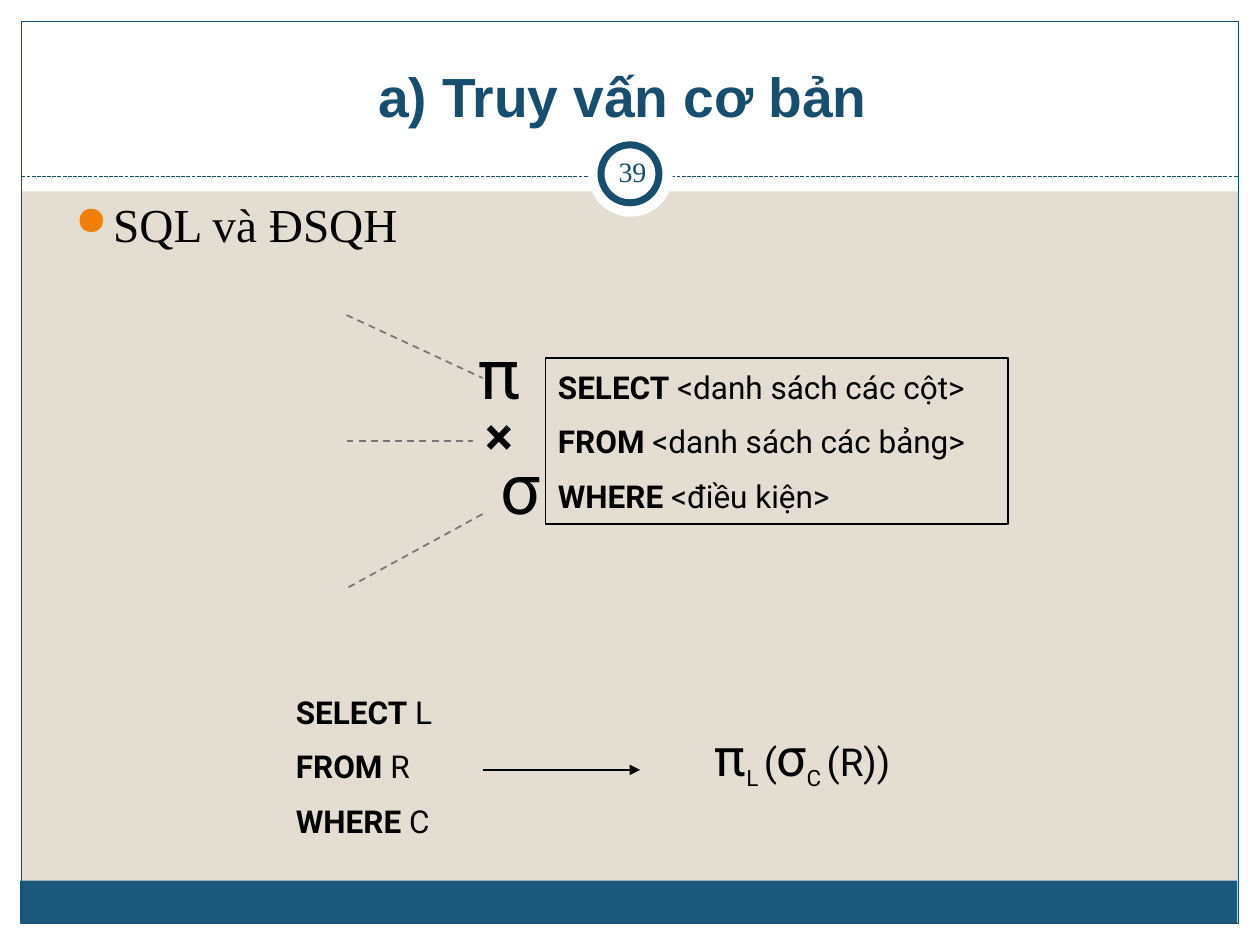
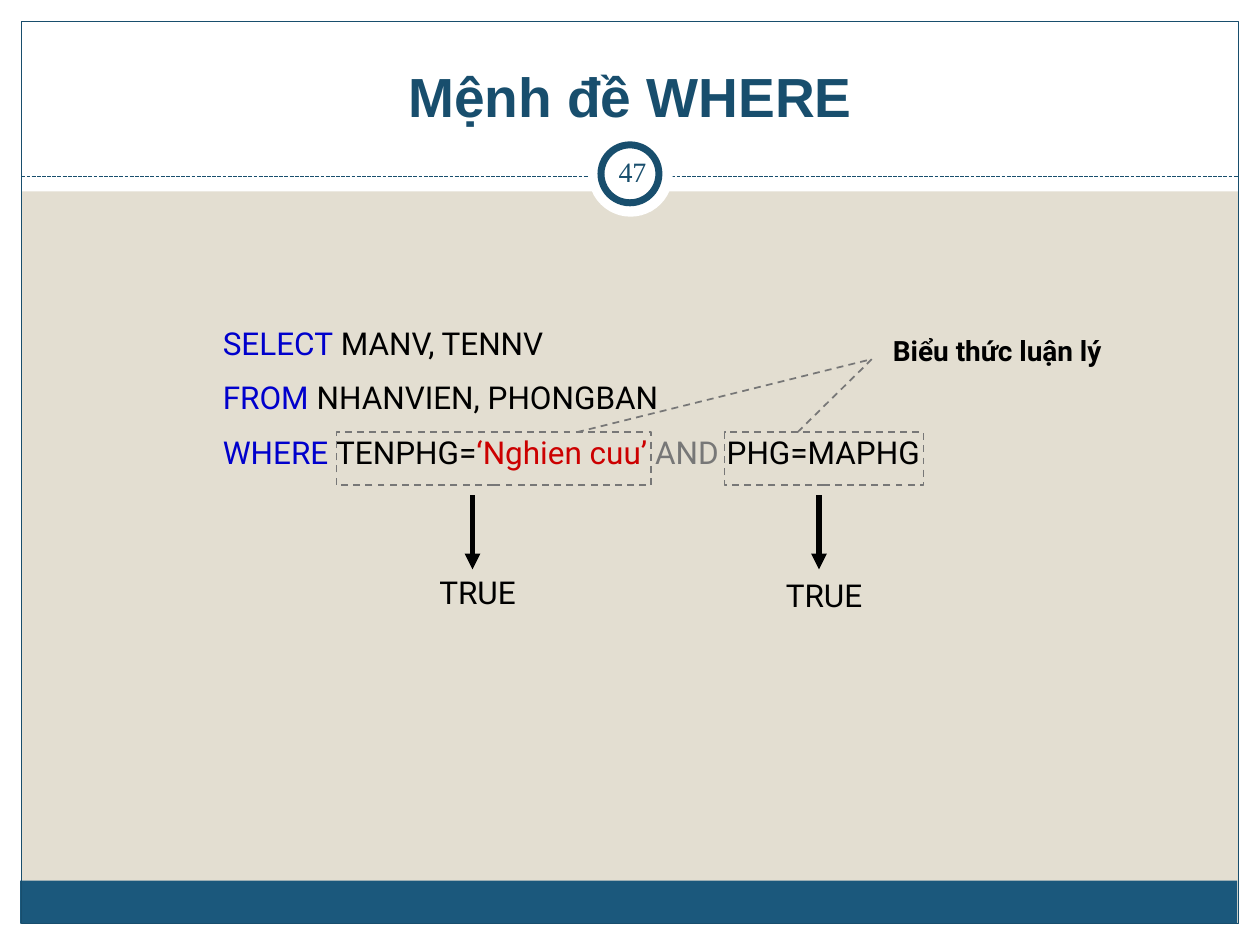
from lxml import etree
from pptx import Presentation
from pptx.dml.color import RGBColor
from pptx.enum import dml, shapes, text
from pptx.oxml.ns import qn
from pptx.util import Inches, Pt

COLORS = {
    "sand": "E3DED1", "white": "FFFFFF", "navy": "184E6D", "band": "1B587C",
    "orange": "F07F09", "black": "000000", "gray": "777777",
    "keyword": "0000CC", "literal": "CC0000",
}
RGB = {name: RGBColor.from_string(value) for name, value in COLORS.items()}
RECT, OVAL = shapes.MSO_SHAPE.RECTANGLE, shapes.MSO_SHAPE.OVAL
DASH, SYS_DASH = dml.MSO_LINE.DASH, dml.MSO_LINE.SQUARE_DOT
TOP, MIDDLE, BOTTOM = (text.MSO_ANCHOR.TOP, text.MSO_ANCHOR.MIDDLE,
                       text.MSO_ANCHOR.BOTTOM)
CODE = {"name": "Roboto", "size": 18, "color": "black"}
BOLD = {"bold": True}
SUB = {"size": 22, "baseline": "-25000"}


def add_box(s, at, paras=(), kind=None, fill=None, line=None, width=1, dash=None,
            base=CODE, center=False, anchor=TOP, inset=0.1):
    """Add a shape, or a text box if kind is None; paras are lists of (text, format)."""
    at = [Inches(v) for v in at]
    if kind is None:
        sp = s.shapes.add_textbox(*at)
    else:
        sp = s.shapes.add_shape(kind, *at)
        sp.shadow.inherit = False
        if fill:
            sp.fill.solid()
            sp.fill.fore_color.rgb = RGB[fill]
        else:
            sp.fill.background()
        if line:
            sp.line.color.rgb, sp.line.width = RGB[line], Pt(width)
            sp.line.dash_style = dash
        else:
            sp.line.fill.background()
    tf = sp.text_frame
    tf.word_wrap, tf.vertical_anchor = True, anchor
    tf.margin_left = tf.margin_right = Inches(inset)
    for i, runs in enumerate(paras):
        p = tf.paragraphs[0] if i == 0 else tf.add_paragraph()
        p.alignment = text.PP_ALIGN.CENTER if center else text.PP_ALIGN.LEFT
        if i:
            p.space_before = Pt(9.5)
        for words, changes in runs:
            r = p.add_run()
            r.text = words
            for key, value in {**base, **changes}.items():
                if key == "color":
                    r.font.color.rgb = RGB[value]
                elif key == "baseline":
                    r._r.get_or_add_rPr().set("baseline", value)
                else:
                    setattr(r.font, key, Pt(value) if key == "size" else value)
    return sp


def add_line(s, start, end, color="gray", width=1, dash=DASH, arrow=False):
    c = s.shapes.add_connector(shapes.MSO_CONNECTOR.STRAIGHT,
                               *[Inches(v) for v in (*start, *end)])
    c.line.color.rgb, c.line.width = RGB[color], Pt(width)
    c.line.dash_style = dash
    if arrow:
        etree.SubElement(c.line._get_or_add_ln(), qn("a:tailEnd"), type="triangle")
    etree.SubElement(c._element.spPr, qn("a:effectLst"))


prs = Presentation()
prs.slide_width, prs.slide_height = Inches(10), Inches(7.5)

# Frame, title and number badge shared by both slides
slides = []
for title, number in (("a) Truy vấn cơ bản ", "39"), ("Mệnh đề WHERE", "47")):
    s = prs.slides.add_slide(prs.slide_layouts[6])
    s.background.fill.solid()
    s.background.fill.fore_color.rgb = RGB["sand"]
    for margin in ((0, 7.33, 10, 0.17), (0, 0, 10, 1.52),
                   (0, 0, 0.17, 7.5), (9.83, 0, 0.17, 7.5)):
        add_box(s, margin, kind=RECT, fill="white")
    add_box(s, (0.16, 6.99, 9.66, 0.34), kind=RECT, fill="band")
    add_box(s, (0.17, 0.17, 9.66, 7.16), kind=RECT, line="navy", width=0.75)
    add_line(s, (0.17, 1.4), (9.83, 1.4), "navy", 0.75, SYS_DASH)
    add_box(s, (4.67, 1.05, 0.67, 0.67), kind=OVAL, fill="white")
    add_box(s, (4.77, 1.15, 0.46, 0.46), kind=OVAL, fill="white", line="navy", width=4)
    add_box(s, (0.5, 0.39, 9, 0.68), [[(title, {})]], center=True, anchor=BOTTOM,
            base={"name": "Arial", "size": 31.5, "color": "navy", "bold": True})
    add_box(s, (4.77, 1.12, 0.5, 0.48), [[(number, {})]], center=True, anchor=MIDDLE,
            base={"name": "Times New Roman", "size": 16, "color": "navy"}, inset=0.05)
    slides.append(s)
algebra, where = slides

# SQL and relational algebra
body = add_box(algebra, (0.5, 1.5, 9, 5.67), [[("SQL và ĐSQH", {})]],
               base={"name": "Times New Roman", "size": 27, "color": "black"})
pPr = body.text_frame.paragraphs[0]._p.get_or_add_pPr()
pPr.set("marL", str(Inches(0.3)))
pPr.set("indent", str(Inches(-0.3)))
bullet_color = etree.SubElement(pPr, qn("a:buClr"))
etree.SubElement(bullet_color, qn("a:srgbClr"), val=COLORS["orange"])
etree.SubElement(pPr, qn("a:buSzPct"), val="85000")
etree.SubElement(pPr, qn("a:buChar"), char="●")

clauses = ("SELECT", "FROM", "WHERE")
meanings = (" <danh sách các cột>", " <danh sách các bảng>", " <điều kiện>")
syntax = [[(c, BOLD), (m, {})] for c, m in zip(clauses, meanings)]
add_box(algebra, (4.33, 2.84, 3.67, 1.32), syntax, kind=RECT, line="black", anchor=MIDDLE)
for symbol, at, style in (("σ", (3.67, 3.48, 0.92, 0.77), {"size": 40}),
                          ("π", (3.5, 2.57, 0.92, 0.77), {"size": 40}),
                          ("×", (3.5, 3.15, 0.92, 0.6), {"size": 30, "bold": True})):
    add_box(algebra, at, [[(symbol, style)]], center=True)
for start, end in (((2.75, 2.5), (3.83, 3)), ((2.75, 3.5), (3.75, 3.5)),
                   ((3.83, 4.08), (2.75, 4.67))):
    add_line(algebra, start, end)

example = [[(c, BOLD), (f" {operand}", {})] for c, operand in zip(clauses, "LRC")]
add_box(algebra, (2.25, 5.45, 1.58, 1.3), example)
big, mid = {"size": 30}, {"size": 22}
add_box(algebra, (5.33, 5.7, 2.08, 0.6), center=True,
        paras=[[("π", big), ("L ", SUB), ("(", mid), ("σ", big), ("C ", SUB), ("(R))", mid)]])
add_line(algebra, (3.83, 6.11), (5.08, 6.11), "black", dash=None, arrow=True)

# WHERE clause
KEYWORD = {"color": "keyword"}
query = [
    [("SELECT", KEYWORD), (" MANV, TENNV", {})],
    [("FROM ", KEYWORD), ("NHANVIEN, PHONGBAN", {})],
    [("WHERE ", KEYWORD), ("TENPHG=", {}), ("‘Nghien cuu’ ", {"color": "literal"}),
     ("AND ", {"color": "gray"}), ("PHG=MAPHG", {})],
]
add_box(where, (1.67, 2.52, 6.17, 1.3), query)
add_box(where, (6.75, 2.6, 2.33, 0.37), [[("Biểu thức luận lý", {"size": 16, "bold": True})]],
        center=True)
# Per condition: frame left and width, callout foot, arrow x, result top
for left, width, foot, x, top in ((2.67, 2.5, 4.58, 3.75, 4.5),
                                  (5.75, 1.58, 6.33, 6.5, 4.52)):
    add_box(where, (left, 3.43, width, 0.42), kind=RECT, line="gray", dash=DASH)
    add_line(where, (foot, 3.43), (6.92, 2.85))
    add_line(where, (x, 3.93), (x, 4.52), "black", 3, None, arrow=True)
    add_box(where, (x - 0.5, top, 1.08, 0.4), [[("TRUE", {})]], center=True)

prs.save("out.pptx")
